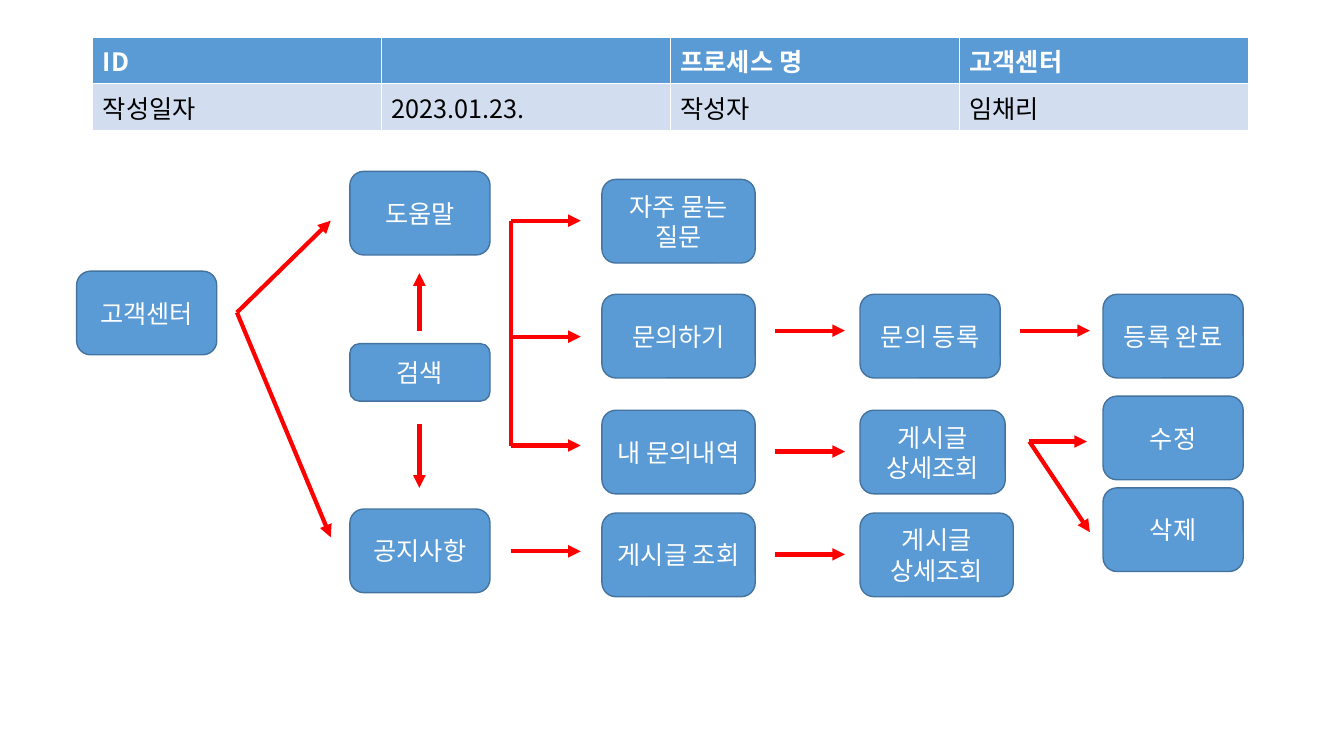
from lxml.etree import SubElement
from pptx import Presentation
from pptx.dml.color import RGBColor as Rgb
from pptx.enum.shapes import MSO_CONNECTOR as Connector, MSO_SHAPE as Shape
from pptx.enum.text import MSO_ANCHOR as Anchor, PP_ALIGN as Align
from pptx.oxml.ns import qn
from pptx.util import Inches, Pt

COLORS = {"box": "5B9BD5", "outline": "43739E", "arrow": "FF0000",
          "band": "D2DEEF", "white": "FFFFFF", "black": "000000"}


class ProcessSlide:
    font = "Noto Sans CJK KR"
    size = Pt(18)
    box_height = 0.83

    def __init__(self, slide):
        self.slide = slide

    def color(self, name):
        return Rgb.from_string(COLORS[name])

    def fill(self, target, name):
        target.fill.solid()
        target.fill.fore_color.rgb = self.color(name)

    def label(self, frame, text, color, bold=False, align=Align.LEFT):
        frame.text = text
        for paragraph in frame.paragraphs:
            paragraph.alignment = align
            for run in paragraph.runs:
                font = run.font
                font.name, font.size, font.bold = self.font, self.size, bold
                font.color.rgb = self.color(color)
                SubElement(run._r.get_or_add_rPr(), qn("a:ea"), typeface=self.font)

    def box(self, text, left, top, width=1.39, height=box_height):
        box = self.slide.shapes.add_shape(
            Shape.ROUNDED_RECTANGLE, Inches(left), Inches(top), Inches(width), Inches(height))
        box.shadow.inherit = False
        self.fill(box, "box")
        box.line.color.rgb = self.color("outline")
        box.line.width = Pt(1)
        box.text_frame.word_wrap = True
        box.text_frame.vertical_anchor = Anchor.MIDDLE
        self.label(box.text_frame, text, "white", align=Align.CENTER)

    def line(self, x1, y1, x2, y2, arrow=True):
        line = self.slide.shapes.add_connector(
            Connector.STRAIGHT, Inches(x1), Inches(y1), Inches(x2), Inches(y2))
        line.line.color.rgb = self.color("arrow")
        line.line.width = Pt(3)
        if arrow:
            SubElement(line.line._get_or_add_ln(), qn("a:tailEnd"), type="triangle")
        SubElement(line._element.spPr, qn("a:effectLst"))

    def borders(self, cell):
        properties = cell._tc.get_or_add_tcPr()
        for position, side in enumerate(("lnL", "lnR", "lnT", "lnB")):
            border = SubElement(properties, qn(f"a:{side}"), w=str(Pt(1)))
            paint = SubElement(border, qn("a:solidFill"))
            SubElement(paint, qn("a:srgbClr"), val=COLORS["white"])
            properties.insert(position, border)

    def table(self, rows, left, top, width, height):
        table = self.slide.shapes.add_table(
            len(rows), len(rows[0]), Inches(left), Inches(top),
            Inches(width), Inches(height)).table
        for r, texts in enumerate(rows):
            header = r == 0
            for c, text in enumerate(texts):
                cell = table.cell(r, c)
                self.fill(cell, "box" if header else "band")
                self.borders(cell)
                self.label(cell.text_frame, text, "white" if header else "black", bold=header)


deck = Presentation()
deck.slide_width, deck.slide_height = Inches(13.33), Inches(7.5)
process = ProcessSlide(deck.slides.add_slide(deck.slide_layouts[6]))

# Document details
process.table([["ID", "", "프로세스 명", "고객센터"],
               ["작성일자", "2023.01.23.", "작성자", "임채리"]], 0.92, 0.37, 11.46, 0.92)

# Column positions
START, MENU, TOPIC, DETAIL, RESULT = 0.76, 3.47, 5.97, 8.53, 10.94
INQUIRY_TOP, HISTORY_TOP, NOTICE_TOP = 2.92, 4.07, 5.09
TOPIC_WIDTH = 1.52

# Customer center and its menus
process.box("고객센터", START, 2.69)
process.box("도움말", MENU, 1.7)
process.box("검색", MENU, 3.41, height=0.57)
process.box("공지사항", MENU, 5.05)

# Topics under each menu
for topic, top in (("자주 묻는 질문", 1.78), ("문의하기", INQUIRY_TOP),
                   ("내 문의내역", HISTORY_TOP), ("게시글 조회", NOTICE_TOP)):
    process.box(topic, TOPIC, top, TOPIC_WIDTH)

# Details and results
process.box("문의 등록", DETAIL, INQUIRY_TOP)
process.box("게시글 상세조회", DETAIL, HISTORY_TOP, 1.44)
process.box("게시글 상세조회", DETAIL, NOTICE_TOP, TOPIC_WIDTH)
for result, top in (("등록 완료", INQUIRY_TOP), ("수정", 3.93), ("삭제", 4.84)):
    process.box(result, RESULT, top)

# Customer center to menus, search to its neighbours
for menu_y in (2.19, 5.33):
    process.line(2.35, 3.1, 3.28, menu_y)
for start_y, end_y in ((3.28, 2.71), (4.21, 4.84)):
    process.line(4.16, start_y, 4.16, end_y)

# Help bracket
process.line(5.07, 2.19, 5.07, 4.42, arrow=False)

# Horizontal steps between columns
STEP = 0.69
for x, levels in ((5.07, (2.19, 3.34, 4.42, 5.47)),
                  (7.69, (3.28, 4.48, 5.5)),
                  (10.12, (3.28,))):
    for y in levels:
        process.line(x, y, x + STEP, y)

# Post detail to edit and delete
for end_x, end_y in ((10.78, 4.38), (10.81, 5.28)):
    process.line(10.21, 4.38, end_x, end_y)

deck.save("out.pptx")
